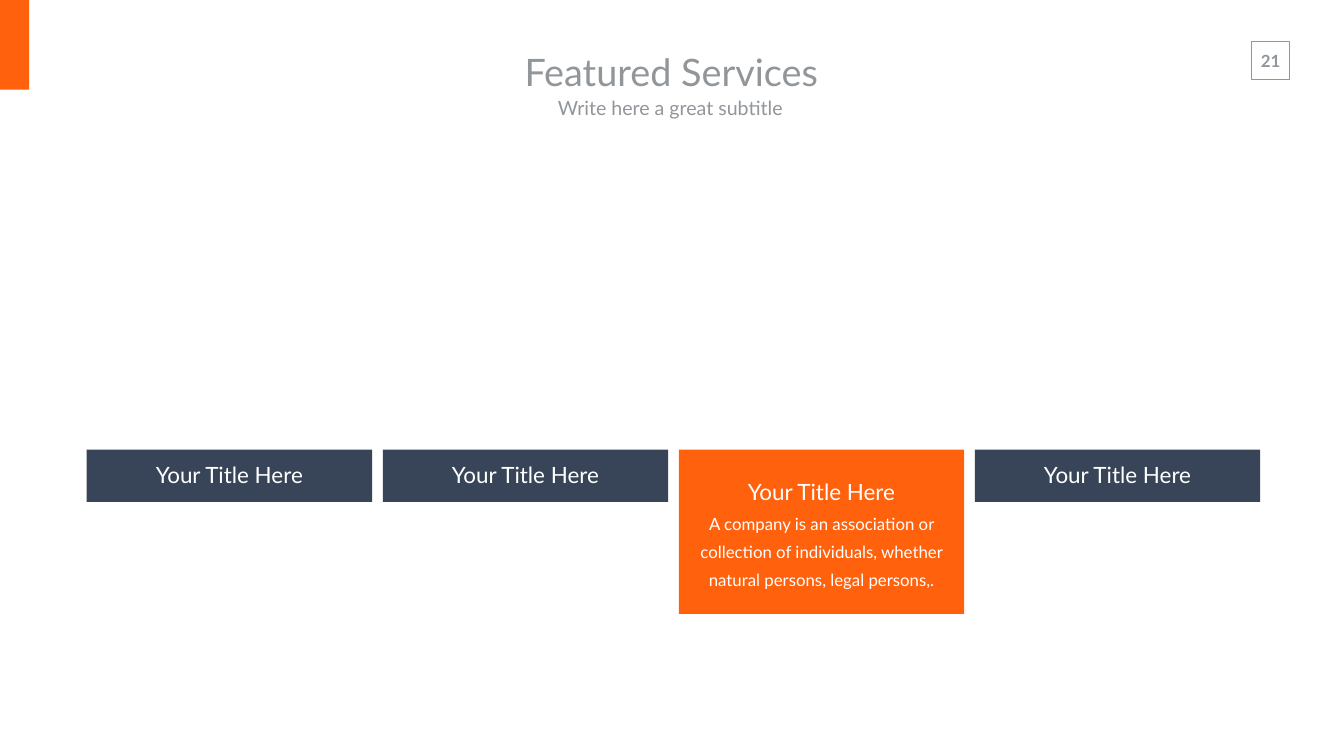
"""Build the Featured Services slide: four service bars, one of them highlighted."""
from pptx import Presentation
from pptx.dml.color import RGBColor
from pptx.enum.shapes import MSO_SHAPE
from pptx.enum.text import MSO_ANCHOR, MSO_AUTO_SIZE, PP_ALIGN
from pptx.util import Inches, Pt

ORANGE = RGBColor(0xFF, 0x61, 0x0C)
NAVY = RGBColor(0x38, 0x45, 0x58)
GREY = RGBColor(0x91, 0x96, 0x9B)
WHITE = RGBColor(0xFF, 0xFF, 0xFF)
FONT = "Lato"

TITLE = "Featured Services"
SUBTITLE = "Write here a great subtitle"
PAGE_NUMBER = "21"
SERVICES = [
    ("Your Title Here", None),
    ("Your Title Here", None),
    ("Your Title Here", "A company is an association or collection of individuals, "
                        "whether natural persons, legal persons,."),
    ("Your Title Here", None),
]

LEFT, TOP, WIDTH, PITCH = 1.72, 8.92, 5.66, 5.873
BAR_HEIGHT, CARD_HEIGHT = 1.04, 3.26


def place(shape, left, top, width, height):
    shape.left, shape.top = Inches(left), Inches(top)
    shape.width, shape.height = Inches(width), Inches(height)


def add_rectangle(page, left, top, width, height, fill=None, line=None):
    box = page.shapes.add_shape(MSO_SHAPE.RECTANGLE, Inches(left), Inches(top),
                                Inches(width), Inches(height))
    box.shadow.inherit = False
    if fill:
        box.fill.solid()
        box.fill.fore_color.rgb = fill
    else:
        box.fill.background()
    if line:
        box.line.color.rgb = line
        box.line.width = Pt(1)
    else:
        box.line.fill.background()


def add_text_box(page, left, top, width, height):
    return page.shapes.add_textbox(Inches(left), Inches(top), Inches(width), Inches(height))


def write(shape, lines, color, spacing=1.0, margins=(0.1, 0.05),
          anchor=MSO_ANCHOR.TOP, wrap=True, bold=False):
    frame = shape.text_frame
    frame.auto_size = MSO_AUTO_SIZE.NONE
    frame.word_wrap = wrap
    frame.vertical_anchor = anchor
    frame.margin_left = frame.margin_right = Inches(margins[0])
    frame.margin_top = frame.margin_bottom = Inches(margins[1])
    for index, (text, size) in enumerate(lines):
        para = frame.add_paragraph() if index else frame.paragraphs[0]
        para.text = text
        para.alignment = PP_ALIGN.CENTER
        para.line_spacing = spacing
        para.space_before = Pt(0)
        para.font.name = FONT
        para.font.size = Pt(size)
        para.font.bold = bold
        para.font.color.rgb = color


def add_service(page, left, title, body):
    if body:
        add_rectangle(page, left, TOP, WIDTH, CARD_HEIGHT, ORANGE)
        label_width, label_top, label_height = 5.11, 9.23, 2.52
        lines = [(title, 32), (body, 24)]
    else:
        add_rectangle(page, left, TOP, WIDTH, BAR_HEIGHT, NAVY)
        label_width, label_top, label_height = 4.23, 8.89, 0.82
        lines = [(title, 32)]
    label = add_text_box(page, left + (WIDTH - label_width) / 2, label_top,
                         label_width, label_height)
    write(label, lines, WHITE, spacing=1.4)


def main():
    deck = Presentation()
    deck.slide_width, deck.slide_height = Inches(26.66), Inches(15)
    page = deck.slides.add_slide(deck.slide_layouts[0])

    heading, subheading = page.placeholders
    place(heading, 8.15, 0.83, 10.33, 1.18)
    write(heading, [(TITLE, 54)], GREY, margins=(0.27, 0.13), anchor=MSO_ANCHOR.MIDDLE)
    place(subheading, 8.13, 1.76, 10.33, 0.74)
    write(subheading, [(SUBTITLE, 28)], GREY, margins=(0.27, 0.13), anchor=MSO_ANCHOR.MIDDLE)

    add_rectangle(page, 0, 0, 0.58, 1.78, ORANGE)
    add_rectangle(page, 24.83, 0.82, 0.75, 0.75, line=GREY)
    number = add_text_box(page, 24.8, 0.9, 0.81, 0.61)
    write(number, [(PAGE_NUMBER, 24)], GREY, margins=(0.2, 0.1), wrap=False, bold=True)

    for index, (title, body) in enumerate(SERVICES):
        add_service(page, LEFT + index * PITCH, title, body)

    deck.save("out.pptx")


if __name__ == "__main__":
    main()
